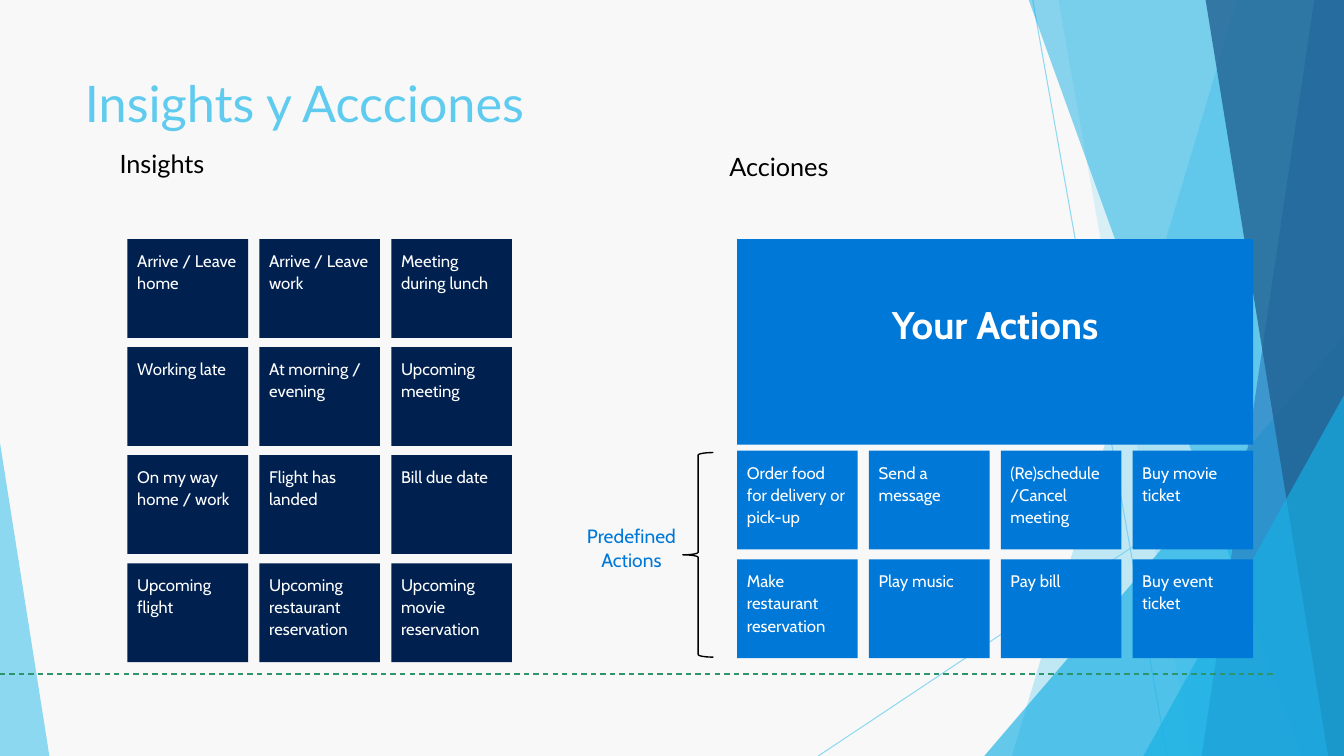
from dataclasses import dataclass

from lxml import etree
from pptx import Presentation
from pptx.dml.color import RGBColor
from pptx.enum import dml, shapes, text
from pptx.oxml.ns import qn
from pptx.util import Inches, Pt

TITLE = "Insights y Accciones"
HEADINGS = [("Insights", (1.11, 1.45, 5, 1), 1.0), ("Acciones", (7.28, 1.45, 5.78, 0.96), 1.1)]
INSIGHTS = [
    ["Arrive / Leave home", "Arrive / Leave work", "Meeting during lunch"],
    ["Working late", "At morning / evening", "Upcoming meeting"],
    ["On my way home / work", "Flight has landed", "Bill due date"],
    ["Upcoming flight", "Upcoming restaurant reservation", "Upcoming movie reservation"],
]
ACTIONS = [
    ["Order food for delivery or pick-up", "Send a message", "(Re)schedule /Cancel meeting",
     "Buy movie ticket"],
    ["Make restaurant reservation", "Play music", "Pay bill", "Buy event ticket"],
]
YOUR_ACTIONS = "Your Actions"
BRACE_LABEL = ["Predefined", "Actions"]


@dataclass(frozen=True)
class Theme:
    background: str = "F8F8F8"
    sky: str = "5FCBEF"
    cyan: str = "17B0E4"
    steel: str = "2E83C3"
    deep: str = "226292"
    navy: str = "002050"
    blue: str = "0078D7"
    green: str = "2E946B"
    black: str = "000000"
    white: str = "FFFFFF"
    heading_font: str = "Lato"
    body_font: str = "Cabin"
    title_size: float = 36.7
    heading_size: float = 18.4
    tile_size: float = 12.2
    label_size: float = 14
    banner_size: float = 28


T = Theme()
WIDTH, HEIGHT = 13.6, 7.65
TILE_W, TILE_H = 1.22, 1
INSIGHTS_AREA = (1.29, 2.42, 3.89, 4.28)
ACTIONS_AREA = (7.46, 4.56, 5.22, 2.1)
BANNER = (7.46, 2.42, 5.22, 2.08)

# Rays run from the top edge to the bottom edge: (top x, bottom x)
RAYS = [(10.45, 0, 11.81, HEIGHT), (WIDTH, 4.11, 8.28, HEIGHT)]
# Shards reach the right edge: (top x, bottom x, colour, opacity %)
# Wedges are right triangles: (box, apex position, colour, opacity %)
DECOR = [
    ("shard", (12.52, 10.24), T.sky, 36),
    ("shard", (10.71, 12.06), T.sky, 20),
    ("wedge", ((9.96, 3.4, 3.64, 4.25), 1), T.cyan, 66),
    ("shard", (10.41, 13.17), T.cyan, 50),
    ("shard", (13.3, 12.16), T.steel, 70),
    ("shard", (12.2, 13.44), T.deep, 80),
    ("wedge", ((11.57, 4, 2.03, 3.65), 1), T.cyan, 66),
    ("wedge", ((0, 4.48, 0.5, 3.17), 0), T.sky, 70),
]


def rgb(color):
    return RGBColor.from_string(color)


def inches(values):
    return [Inches(v) for v in values]


def set_opacity(sp, percent):
    clr = next(sp._element.spPr.iter(qn("a:srgbClr")))
    etree.SubElement(clr, qn("a:alpha"), val=str(percent * 1000))


def fill_plain(sp, color):
    sp.shadow.inherit = False
    sp.fill.solid()
    sp.fill.fore_color.rgb = rgb(color)
    sp.line.fill.background()


def add_line(s, ends, color, width):
    line = s.shapes.add_connector(shapes.MSO_CONNECTOR.STRAIGHT, *inches(ends))
    line.line.color.rgb = rgb(color)
    line.line.width = Pt(width)
    etree.SubElement(line._element.spPr, qn("a:effectLst"))
    return line


def add_decor(s):
    for ends in RAYS:
        set_opacity(add_line(s, ends, T.sky, 0.75), 70)
    for kind, geometry, color, opacity in DECOR:
        if kind == "shard":
            top, bottom = geometry
            fb = s.shapes.build_freeform(Inches(top), 0)
            corners = [(WIDTH, 0), (WIDTH, HEIGHT), (bottom, HEIGHT)]
            fb.add_line_segments([inches(c) for c in corners], close=True)
            sp = fb.convert_to_shape()
        else:
            box, apex = geometry
            sp = s.shapes.add_shape(shapes.MSO_SHAPE.ISOSCELES_TRIANGLE, *inches(box))
            sp.adjustments[0] = apex
        fill_plain(sp, color)
        set_opacity(sp, opacity)


def setup_frame(sp, insets, anchor=text.MSO_ANCHOR.TOP):
    """Wrap text in the shape; insets are left, top, right, bottom."""
    tf = sp.text_frame
    tf.word_wrap = True
    tf.auto_size = text.MSO_AUTO_SIZE.NONE
    tf.vertical_anchor = anchor
    tf.margin_left, tf.margin_top, tf.margin_right, tf.margin_bottom = inches(insets)
    return tf


def write(p, words, font, size, color, align=text.PP_ALIGN.LEFT, spacing=1.0, bold=False):
    p.alignment = align
    p.line_spacing = spacing
    p.space_before = Pt(0)
    r = p.add_run()
    r.text = words
    r.font.name, r.font.size, r.font.bold = font, Pt(size), bold
    r.font.color.rgb = rgb(color)


def fill_placeholder(ph, words, box, size, color, spacing=1.0):
    ph.left, ph.top, ph.width, ph.height = inches(box)
    p = setup_frame(ph, (0.1, 0.05, 0.1, 0.05)).paragraphs[0]
    pPr = p._p.get_or_add_pPr()
    pPr.set("marL", "0")
    pPr.set("indent", "0")
    etree.SubElement(pPr, qn("a:buNone"))
    write(p, words, T.heading_font, size, color, spacing=spacing)


def add_block(s, box, color):
    sp = s.shapes.add_shape(shapes.MSO_SHAPE.RECTANGLE, *inches(box))
    fill_plain(sp, color)
    return sp


def add_tiles(s, rows, area, color):
    """Spread equal tiles so that the grid fills the area."""
    left, top, width, height = area
    step_x = (width - TILE_W) / (len(rows[0]) - 1)
    step_y = (height - TILE_H) / (len(rows) - 1)
    for i, row in enumerate(rows):
        for j, words in enumerate(row):
            sp = add_block(s, (left + j * step_x, top + i * step_y, TILE_W, TILE_H), color)
            tf = setup_frame(sp, (0.1, 0.1, 0.1, 0.1))
            write(tf.paragraphs[0], words, T.body_font, T.tile_size, T.white, spacing=1.1)


def add_banner(s):
    tf = setup_frame(add_block(s, BANNER, T.blue), (0, 0, 0, 0.4), text.MSO_ANCHOR.MIDDLE)
    write(tf.paragraphs[0], YOUR_ACTIONS, T.body_font, T.banner_size, T.white,
          text.PP_ALIGN.CENTER, 1.1, True)


def add_brace(s):
    brace = s.shapes.add_shape(shapes.MSO_SHAPE.LEFT_BRACE, *inches((6.91, 4.58, 0.31, 2.07)))
    brace.shadow.inherit = False
    brace.fill.background()
    brace.line.color.rgb = rgb(T.black)
    brace.line.width = Pt(1)
    label = s.shapes.add_textbox(*inches((5.74, 5.23, 1.3, 0.68)))
    tf = setup_frame(label, (0.16, 0.1, 0.16, 0.1))
    for i, words in enumerate(BRACE_LABEL):
        p = tf.add_paragraph() if i else tf.paragraphs[0]
        write(p, words, T.body_font, T.label_size, T.blue, text.PP_ALIGN.CENTER, 0.9)
        p.space_before = Pt(2.8 if i else 0)


def main():
    prs = Presentation()
    prs.slide_width, prs.slide_height = inches((WIDTH, HEIGHT))
    s = prs.slides.add_slide(prs.slide_layouts[3])
    s.background.fill.solid()
    s.background.fill.fore_color.rgb = rgb(T.background)

    title, *bodies = list(s.placeholders)
    add_decor(s)
    for ph in (title, *bodies):  # bring the text in front of the decoration
        ph._element.getparent().append(ph._element)
    fill_placeholder(title, TITLE, (0.76, 0.68, 9.59, 1.47), T.title_size, T.sky)
    for ph, (words, box, spacing) in zip(bodies, HEADINGS):
        fill_placeholder(ph, words, box, T.heading_size, T.black, spacing)

    add_tiles(s, INSIGHTS, INSIGHTS_AREA, T.navy)
    add_tiles(s, ACTIONS, ACTIONS_AREA, T.blue)
    baseline = add_line(s, (-0.1, 6.82, 12.88, 6.82), T.green, 1)
    baseline.line.dash_style = dml.MSO_LINE.DASH
    add_banner(s)
    add_brace(s)
    prs.save("out.pptx")


if __name__ == "__main__":
    main()
